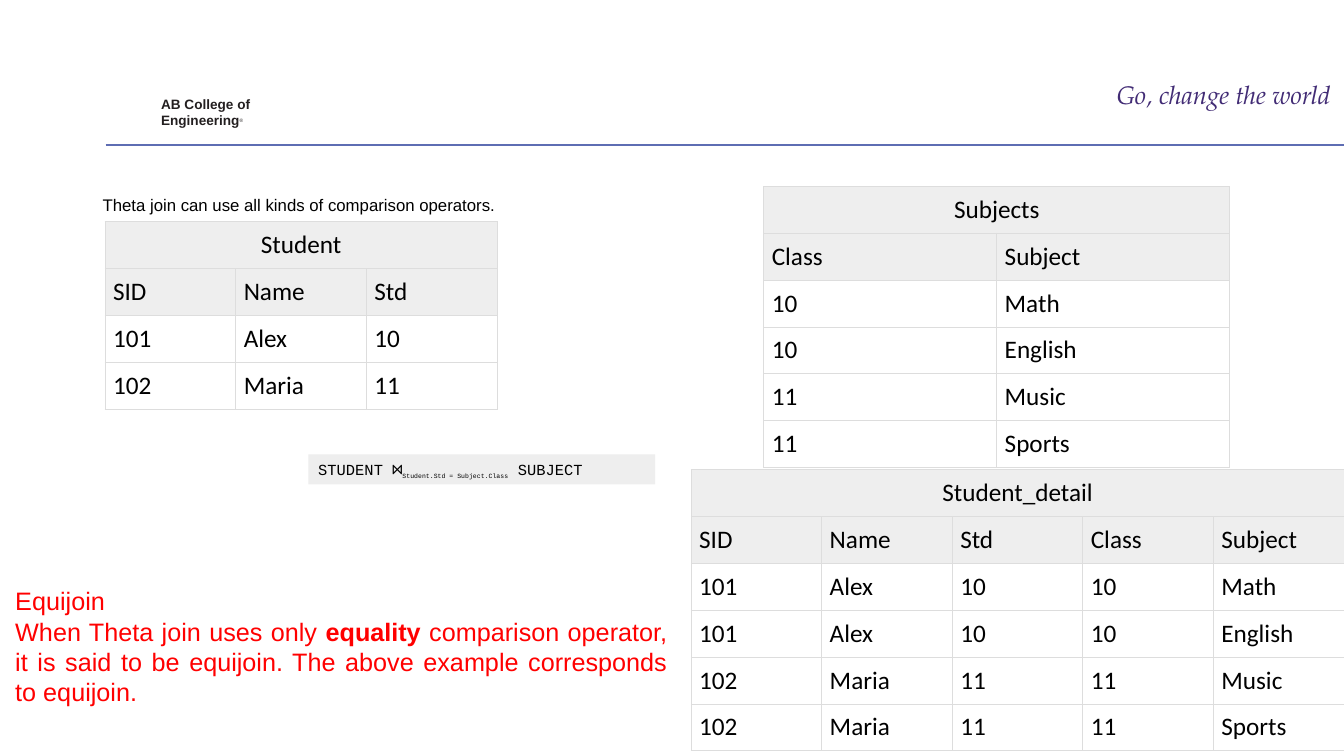
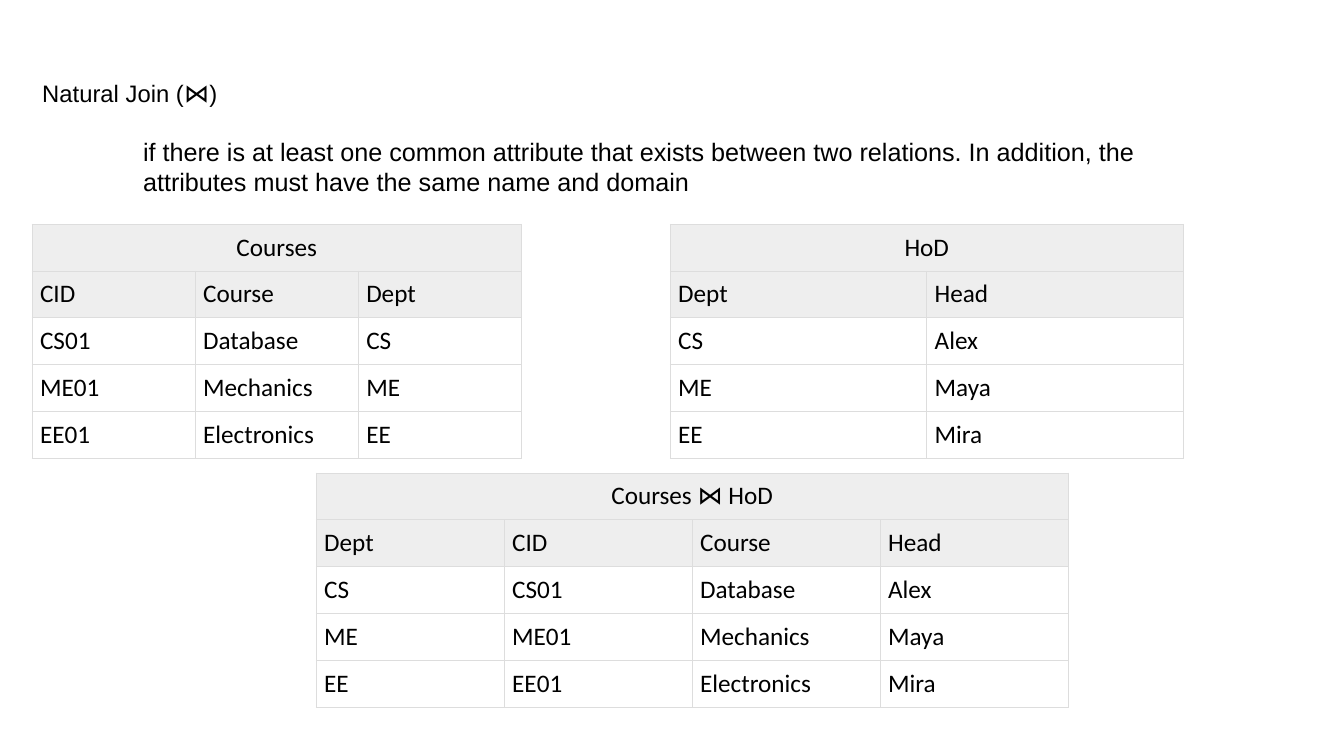
from lxml import etree
from pptx import Presentation
from pptx.dml.color import RGBColor
from pptx.enum.shapes import MSO_CONNECTOR, MSO_SHAPE
from pptx.enum.text import MSO_ANCHOR, MSO_AUTO_SIZE, PP_ALIGN
from pptx.oxml import parse_xml
from pptx.oxml.ns import nsdecls, qn
from pptx.util import Cm, Pt

# Shared look
BLACK, RED, DARK = "000000", "FF0000", "231F20"
PURPLE, RULE, GRID, SHADE = "422C75", "5E6DB3", "DDDDDD", "EEEEEE"
SANS, TABLE_FONT, CODE, SCRIPT = "Arial", "Calibri", "Courier New", "TeX Gyre Pagella"
SLIDE_W, SLIDE_H = 33.87, 19.05
ROW_H, CELL_MARGIN = 1.18, 0.2


def rgb(value):
    return RGBColor.from_string(value)


def add_run(p, text, size, font=SANS, color=BLACK, bold=False, italic=False, baseline=0):
    r = p.add_run()
    r.text = text
    r.font.name, r.font.size = font, Pt(size)
    r.font.bold, r.font.italic = bold, italic
    r.font.color.rgb = rgb(color)
    if baseline:
        r._r.get_or_add_rPr().set("baseline", str(baseline * 1000))
    return r


def place(sp, box):
    sp.left, sp.top, sp.width, sp.height = [Cm(v) for v in box]


def add_label(s, box):
    """Text box with no side margins."""
    tf = s.shapes.add_textbox(*[Cm(v) for v in box]).text_frame
    tf.word_wrap = True
    tf.margin_left = tf.margin_right = tf.margin_bottom = 0
    tf.margin_top = Cm(0.03)
    return tf


def set_title(s, box, align=PP_ALIGN.LEFT):
    """Moves the title placeholder and returns its paragraph."""
    place(s.shapes.title, box)
    tf = s.shapes.title.text_frame
    tf.auto_size, tf.vertical_anchor = MSO_AUTO_SIZE.NONE, MSO_ANCHOR.MIDDLE
    p = tf.paragraphs[0]
    p.alignment = align
    return p


def set_body(s, box, paragraphs, color=BLACK):
    """Fills the body placeholder; each paragraph is (alignment, [(text, bold)])."""
    sp = s.placeholders[1]
    place(sp, box)
    tf = sp.text_frame
    tf.auto_size = MSO_AUTO_SIZE.NONE
    for i, (align, runs) in enumerate(paragraphs):
        p = tf.add_paragraph() if i else tf.paragraphs[0]
        p.alignment, p.space_before = align, Pt(0)
        pPr = p._p.get_or_add_pPr()
        pPr.set("marL", "0")
        pPr.set("indent", "0")
        etree.SubElement(pPr, qn("a:buNone"))
        for text, bold in runs:
            add_run(p, text, 18, color=color, bold=bold)


def format_cell(cell, shaded):
    cell.margin_left = cell.margin_right = Cm(CELL_MARGIN)
    cell.margin_top = cell.margin_bottom = Cm(CELL_MARGIN)
    tcPr = cell._tc.get_or_add_tcPr()
    for side in ("lnL", "lnR", "lnT", "lnB"):
        tcPr.append(parse_xml(
            f'<a:{side} {nsdecls("a")} w="{Pt(0.75)}"><a:solidFill>'
            f'<a:srgbClr val="{GRID}"/></a:solidFill></a:{side}>'))
    if shaded:
        cell.fill.solid()
        cell.fill.fore_color.rgb = rgb(SHADE)
    else:
        cell.fill.background()


def add_relation(s, left, top, width, name, rows):
    """Table with a merged name row, a row of attributes and the tuples."""
    n_rows, n_cols = len(rows) + 1, len(rows[0])
    frame = s.shapes.add_table(n_rows, n_cols, Cm(left), Cm(top),
                               Cm(width), Cm(n_rows * ROW_H))
    table = frame.table
    table.first_row = table.horz_banding = False
    for col in table.columns:
        col.width = Cm(width / n_cols)
    for row in table.rows:
        row.height = Cm(ROW_H)
    for i in range(n_rows):
        for j in range(n_cols):
            format_cell(table.cell(i, j), shaded=i < 2)
    table.cell(0, 0).merge(table.cell(0, n_cols - 1))
    p = table.cell(0, 0).text_frame.paragraphs[0]
    p.alignment = PP_ALIGN.CENTER
    add_run(p, name, 18, TABLE_FONT)
    for i, values in enumerate(rows, 1):
        for j, value in enumerate(values):
            add_run(table.cell(i, j).text_frame.paragraphs[0], value, 18, TABLE_FONT)


def add_header(s, left, top):
    """College name, motto and rule."""
    tf = add_label(s, (left + 1.4, top + 0.45, 2.6, 0.84))
    for i, text in enumerate(("AB College of", "Engineering")):
        p = tf.add_paragraph() if i else tf.paragraphs[0]
        p.line_spacing, p.space_before = Pt(10.8), Pt(0.8)
        add_run(p, text, 9.7, color=DARK, bold=True)
    add_run(p, "®", 6, color=DARK, baseline=30)

    motto = add_label(s, (SLIDE_W - 5.73, top, 5.73, 1.57))
    add_run(motto.paragraphs[0], "Go, change the world", 18.2, SCRIPT, PURPLE, italic=True)

    y = Cm(top + 1.7)
    rule = s.shapes.add_connector(MSO_CONNECTOR.STRAIGHT, Cm(left), y, Cm(SLIDE_W), y)
    rule.line.color.rgb, rule.line.width = rgb(RULE), Pt(1.25)
    etree.SubElement(rule._element.spPr, qn("a:effectLst"))


def add_formula(s, box):
    """Join expression on a grey strip."""
    sp = s.shapes.add_shape(MSO_SHAPE.RECTANGLE, *[Cm(v) for v in box])
    sp.shadow.inherit = False
    sp.fill.solid()
    sp.fill.fore_color.rgb = rgb(SHADE)
    sp.line.fill.background()
    tf = sp.text_frame
    tf.word_wrap, tf.vertical_anchor = True, MSO_ANCHOR.MIDDLE
    p = tf.paragraphs[0]
    p.alignment = PP_ALIGN.LEFT
    add_run(p, "STUDENT ", 11, CODE)
    add_run(p, "⋈", 12, CODE)
    add_run(p, "Student.Std = Subject.Class", 8, CODE, baseline=-30)
    add_run(p, " SUBJECT", 11, CODE)


def theta_join_slide(prs):
    s = prs.slides.add_slide(prs.slide_layouts[1])
    add_header(s, 2.66, 1.96)
    p = set_title(s, (2.33, 4.78, 16, 0.76), PP_ALIGN.JUSTIFY)
    add_run(p, "Theta join can use all kinds of comparison operators.", 12)

    students = [("101", "Alex", "10"), ("102", "Maria", "11")]
    subjects = [("10", "Math"), ("10", "English"), ("11", "Music"), ("11", "Sports")]
    student_cols, subject_cols = ("SID", "Name", "Std"), ("Class", "Subject")
    joined = [a + b for a in students for b in subjects if a[2] == b[0]]
    add_relation(s, 2.65, 5.59, 9.88, "Student", [student_cols] + students)
    add_relation(s, 19.25, 4.7, 11.74, "Subjects", [subject_cols] + subjects)
    add_formula(s, (7.77, 11.45, 8.74, 0.76))
    add_relation(s, 17.42, 11.84, 16.45, "Student_detail",
                 [student_cols + subject_cols] + joined)
    set_body(s, (0.13, 14.63, 16.94, 3.33), [
        (PP_ALIGN.LEFT, [("Equijoin", False)]),
        (PP_ALIGN.JUSTIFY, [
            ("When Theta join uses only ", False),
            ("equality", True),
            (" comparison operator, it is said to be equijoin. "
             "The above example corresponds to equijoin.", False)]),
    ], RED)


def natural_join_slide(prs):
    s = prs.slides.add_slide(prs.slide_layouts[1])
    p = set_title(s, (0.81, 1.87, 30, 0.9))
    add_run(p, "Natural Join (", 17)
    add_run(p, "⋈", 18)
    add_run(p, ")", 17)
    set_body(s, (3.35, 3.3, 27.23, 1.8), [(PP_ALIGN.LEFT, [
        ("if there is at least one common attribute that exists between two relations. "
         "In addition, the attributes must have the same name and domain", False)])])

    courses = [("CS01", "Database", "CS"), ("ME01", "Mechanics", "ME"),
               ("EE01", "Electronics", "EE")]
    heads = [("CS", "Alex"), ("ME", "Maya"), ("EE", "Mira")]
    joined = [(dept, cid, course, head) for cid, course, dept in courses
              for head_dept, head in heads if dept == head_dept]
    add_relation(s, 0.81, 5.65, 12.33, "Courses", [("CID", "Course", "Dept")] + courses)
    add_relation(s, 16.89, 5.65, 12.93, "HoD", [("Dept", "Head")] + heads)
    add_relation(s, 7.97, 11.92, 18.95, "Courses ⋈ HoD",
                 [("Dept", "CID", "Course", "Head")] + joined)


def main():
    prs = Presentation()
    prs.slide_width, prs.slide_height = Cm(SLIDE_W), Cm(SLIDE_H)
    theta_join_slide(prs)
    natural_join_slide(prs)
    prs.save("out.pptx")


if __name__ == "__main__":
    main()
